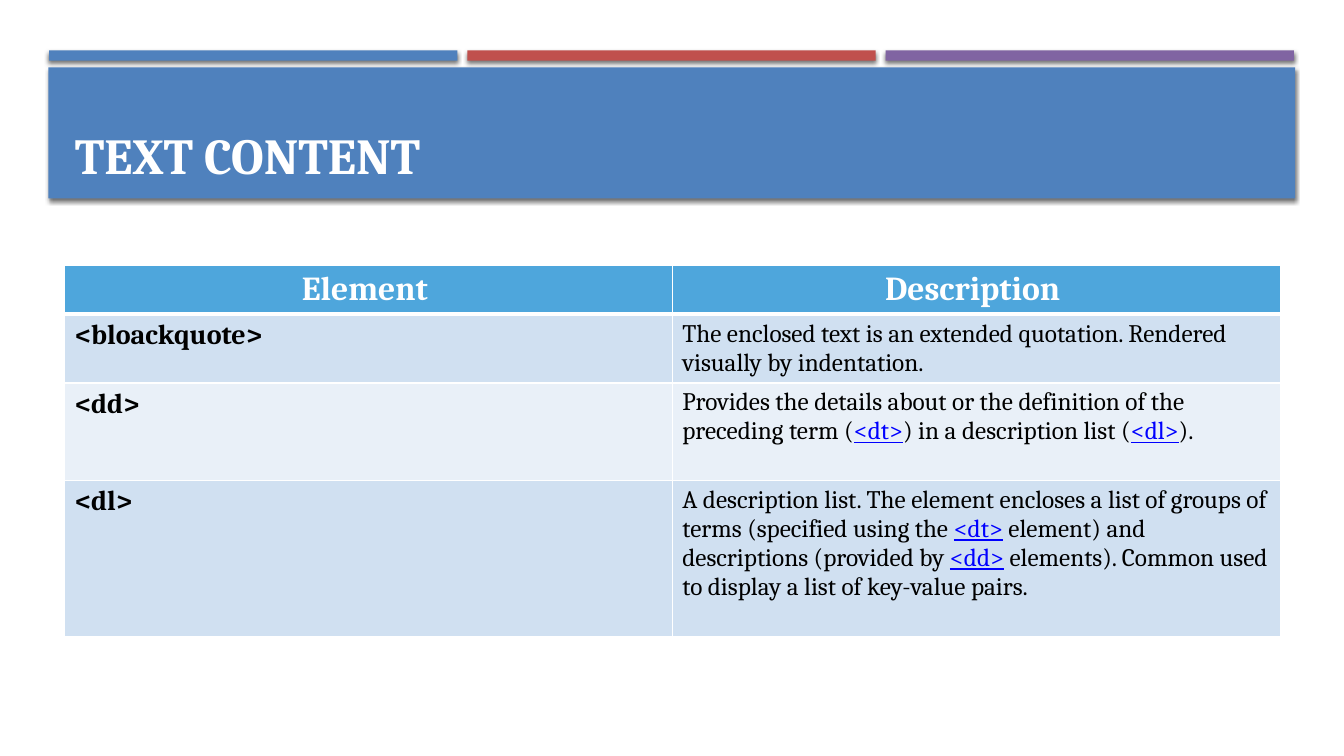
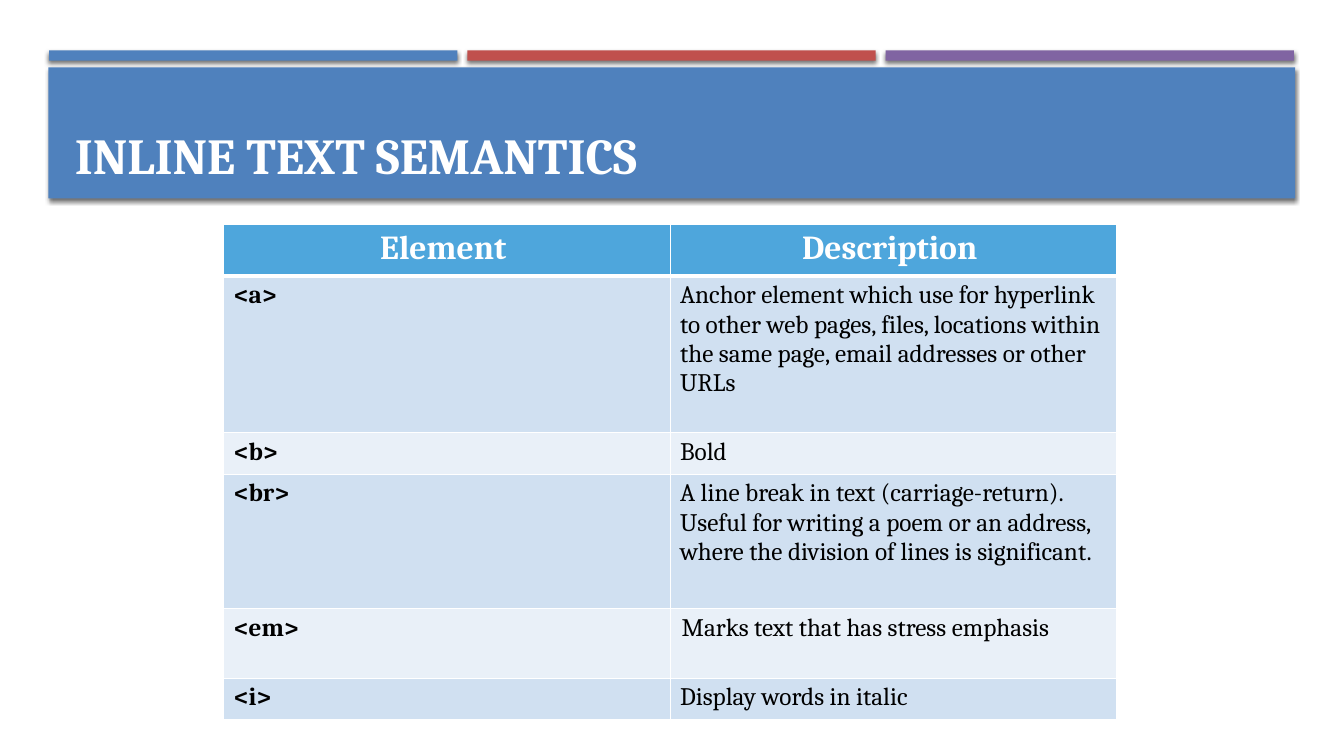
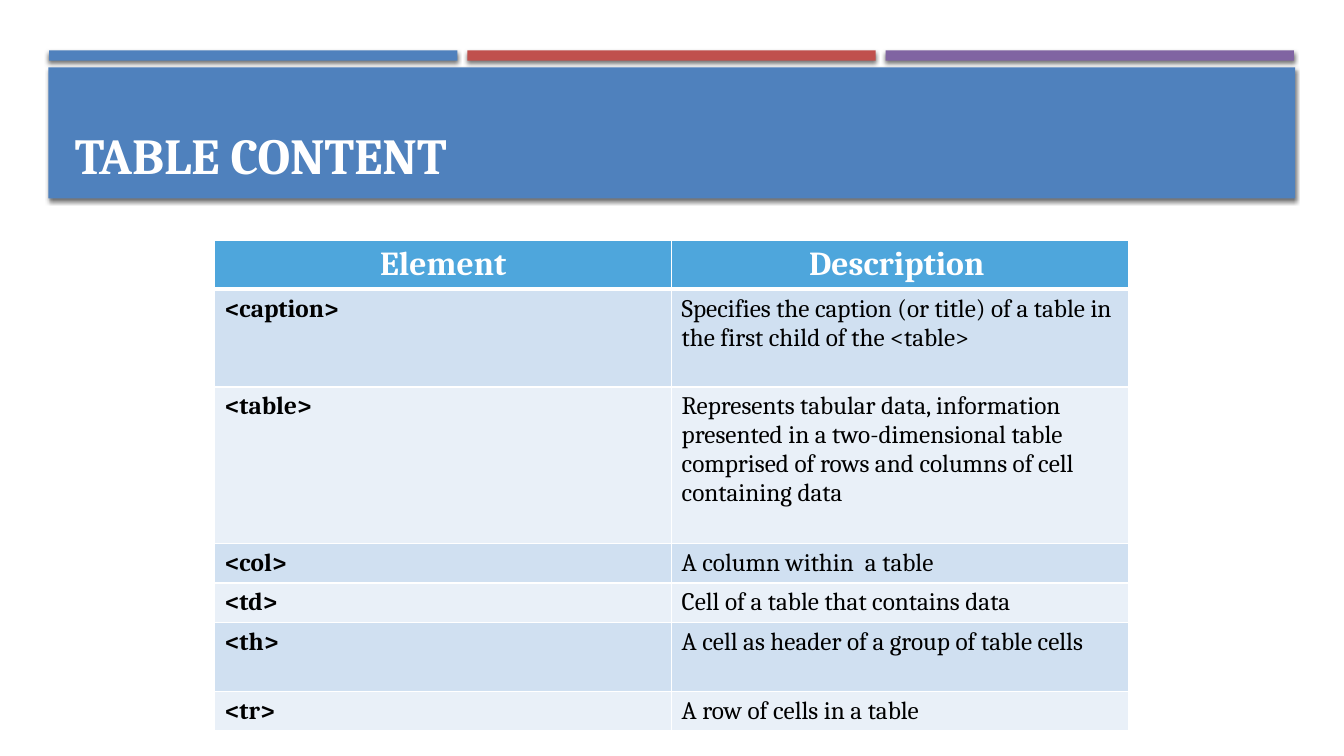
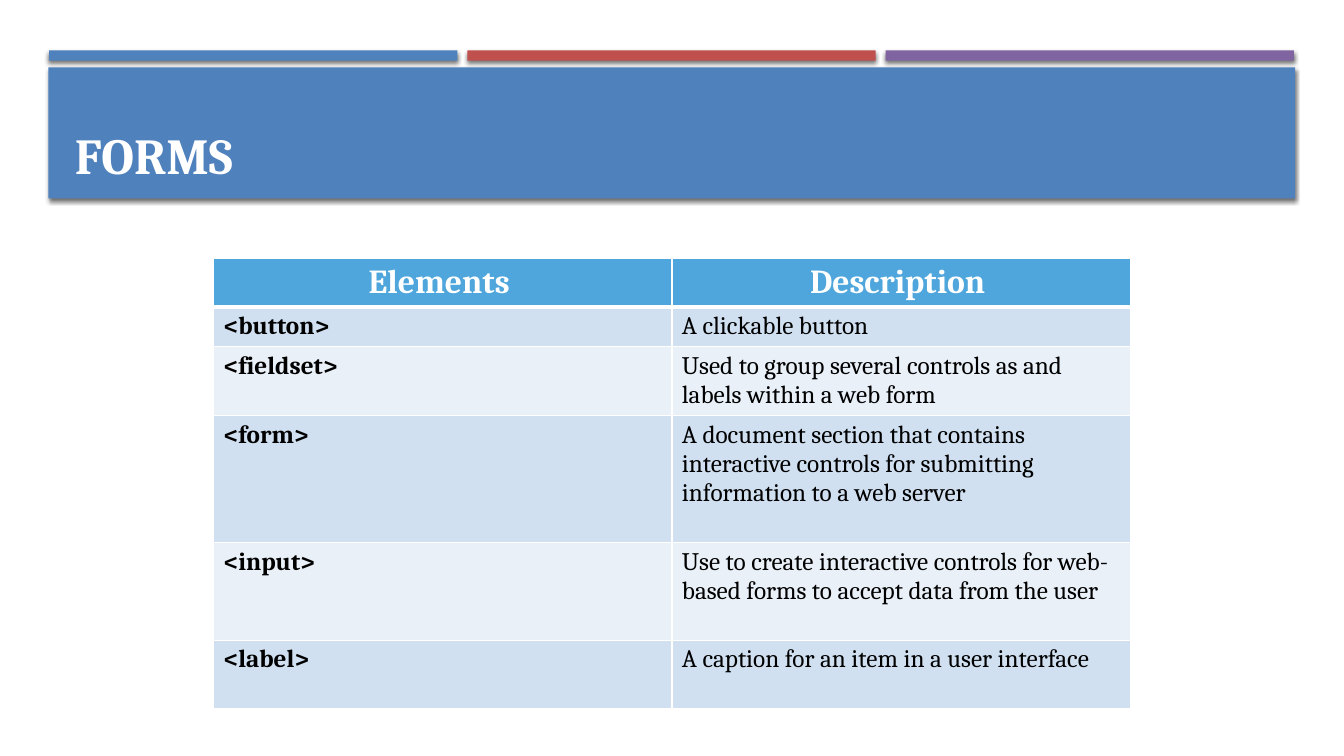
import pptx
import pptx.util
import pptx.dml.color
import pptx.enum.shapes
import pptx.enum.text
import pptx.oxml
import pptx.oxml.ns

Cm = pptx.util.Cm
Pt = pptx.util.Pt
ALIGN = pptx.enum.text.PP_ALIGN

FONT = "Cambria"
WHITE, BLACK, LINK_BLUE = "FFFFFF", "000000", "0000FF"
PANEL_COLOR, HEADER_COLOR = "4F81BD", "4EA6DC"
ROW_COLORS = ("E9F0F8", "D0E0F1")
BAND_COLORS = ("4F81BD", "C0504D", "8064A2")
BAND_LEFT, BAND_TOP, BAND_WIDTH, BAND_HEIGHT, BAND_PITCH = 1.24, 1.27, 10.29, 0.26, 10.54
PANEL_BOX = (1.22, 1.7, 31.42, 3.3)
TITLE_BOX = (1.63, 1.96, 30.63, 2.82)

TITLE_FORMAT = {"size": Pt(36), "bold": True, "name": FONT}
HEADER_FORMAT = {"size": Pt(24), "bold": True, "name": FONT}
TEXT_FORMAT = {"size": Pt(18), "bold": False, "name": FONT}
LINK_FORMAT = {**TEXT_FORMAT, "underline": True}

SLIDES = [
    {
        "title": "TEXT CONTENT",
        "place": (1.63, 6.68, 30.63),
        "element_size": 20,
        "headers": ("Element ", "Description "),
        "header_height": 1.24,
        "rows": [
            (1.73, "<bloackquote>",
             ["The enclosed text is an extended quotation. Rendered visually by indentation."]),
            (2.46, "<dd>",
             ["Provides the details about or the definition of the preceding term (",
              "<dt>", ") in a description list (", "<dl>", ")."]),
            (3.94, "<dl>",
             ["A description list. The element encloses a list of groups of terms (specified using the ",
              "<dt>", " element) and descriptions (provided by ", "<dd>",
              " elements). Common used to display a list of key-value pairs."]),
        ],
    },
    {
        "title": "INLINE TEXT SEMANTICS",
        "place": (5.64, 5.66, 22.5),
        "element_size": 18,
        "headers": ("Element ", "Description "),
        "header_height": 1.3,
        "tight_cell": (4, 1),
        "rows": [
            (3.94, "<a>",
             ["Anchor element which use for hyperlink to other web pages, files, locations "
              "within the same page, email addresses or other URLs"]),
            (1.05, "<b>", ["Bold"]),
            (3.38, "<br>",
             ["A line break in text (carriage-return). Useful for writing a poem or an address, "
              "where the division of lines is significant."]),
            (1.76, "<em>", [" Marks text that has stress emphasis"]),
            (1.04, "<i>", ["Display words in italic"]),
        ],
    },
    {
        "title": "TABLE CONTENT",
        "place": (5.41, 6.05, 23.04),
        "element_size": 18,
        "headers": ("Element", "Description "),
        "header_height": 1.24,
        "rows": [
            (2.46, "<caption>",
             ["Specifies the caption (or title) of a table in the first child of the <table>"]),
            (3.94, "<table>",
             ["Represents tabular data, information presented in a two-dimensional table "
              "comprised of rows and columns of cell containing data"]),
            (1, "<col>", ["A column within  a table"]),
            (1, "<td>", ["Cell of a table that contains data"]),
            (1.73, "<th>", ["A cell as header of a group of table cells"]),
            (1, "<tr>", ["A row of cells in a table"]),
        ],
    },
    {
        "title": "FORMS",
        "place": (5.38, 6.5, 23.11),
        "element_size": 18,
        "headers": ("Elements ", "Description "),
        "header_height": 1.24,
        "rows": [
            (1, "<button>", ["A clickable button"]),
            (1.73, "<fieldset>",
             ["Used to group several controls as and labels within a web form"]),
            (3.2, "<form>",
             ["A document section that contains interactive controls for submitting "
              "information to a web server"]),
            (2.46, "<input>",
             ["Use to create interactive controls for web-based forms to accept data from the user"]),
            (1.73, "<label>", ["A caption for an item in a user interface"]),
        ],
    },
]


def color(hex_string):
    return pptx.dml.color.RGBColor.from_string(hex_string)


def set_attributes(target, values):
    for name, value in values.items():
        setattr(target, name, value)


def add_run(paragraph, text, font_format, font_color):
    run = paragraph.add_run()
    run.text = text
    set_attributes(run.font, font_format)
    run.font.color.rgb = color(font_color)


def move_to(shape, box):
    lengths = [Cm(length) for length in box]
    set_attributes(shape, dict(zip(("left", "top", "width", "height"), lengths)))


def add_shadow(shape):
    shape.shadow.inherit = False
    effects = shape.element.spPr.find(pptx.oxml.ns.qn("a:effectLst"))
    effects.append(pptx.oxml.parse_xml(
        f'<a:outerShdw {pptx.oxml.ns.nsdecls("a")} blurRad="{Pt(3)}" dist="{Pt(2)}" '
        f'dir="5400000" rotWithShape="0"><a:srgbClr val="{BLACK}">'
        '<a:alpha val="55000"/></a:srgbClr></a:outerShdw>'))


def decorate_layout(layout, slide):
    bands = [((BAND_LEFT + index * BAND_PITCH, BAND_TOP, BAND_WIDTH, BAND_HEIGHT), fill)
             for index, fill in enumerate(BAND_COLORS)]
    for index, (box, fill) in enumerate(bands + [(PANEL_BOX, PANEL_COLOR)]):
        shape = slide.shapes.add_shape(
            pptx.enum.shapes.MSO_SHAPE.RECTANGLE, *[Cm(length) for length in box])
        shape.fill.solid()
        shape.fill.fore_color.rgb = color(fill)
        shape.line.fill.background()
        add_shadow(shape)
        shape.element.nvSpPr.cNvPr.id = 20 + index
        layout.shapes.element.insert(2 + index, shape.element)


def fill_title(title, text):
    frame = title.text_frame
    set_attributes(frame, {
        "vertical_anchor": pptx.enum.text.MSO_ANCHOR.BOTTOM,
        "auto_size": pptx.enum.text.MSO_AUTO_SIZE.NONE,
        "word_wrap": True,
    })
    paragraph = frame.paragraphs[0]
    paragraph.alignment = ALIGN.LEFT
    add_run(paragraph, text, TITLE_FORMAT, WHITE)


def fill_cell(cell, fill, alignment, runs, margin=0.25):
    set_attributes(cell, {"margin_left": Cm(margin), "margin_right": Cm(margin)})
    cell.fill.solid()
    cell.fill.fore_color.rgb = color(fill)
    paragraph = cell.text_frame.paragraphs[0]
    paragraph.alignment = alignment
    for run in runs:
        add_run(paragraph, *run)


def add_borders(graphic_frame, column_count):
    for position, properties in enumerate(graphic_frame.element.iter(pptx.oxml.ns.qn("a:tcPr"))):
        row = position // column_count
        widths = {"L": 0.96, "R": 0.96, "T": 3 if row == 1 else 0.96, "B": 3 if row == 0 else 0.96}
        for index, (side, width) in enumerate(widths.items()):
            properties.insert(index, pptx.oxml.parse_xml(
                f'<a:ln{side} {pptx.oxml.ns.nsdecls("a")} w="{Pt(width)}"><a:solidFill>'
                f'<a:srgbClr val="{WHITE}"/></a:solidFill></a:ln{side}>'))


def add_element_table(slide, content):
    left, top, width = content["place"]
    heights = [content["header_height"]] + [row[0] for row in content["rows"]]
    column_count = len(content["headers"])
    graphic_frame = slide.shapes.add_table(
        len(heights), column_count, Cm(left), Cm(top), Cm(width), Cm(sum(heights)))
    table = graphic_frame.table
    table.horz_banding = False
    for row, height in zip(table.rows, heights):
        row.height = Cm(height)
    for column, header in enumerate(content["headers"]):
        fill_cell(table.cell(0, column), HEADER_COLOR, ALIGN.CENTER,
                  [(header, HEADER_FORMAT, WHITE)])
    element_format = {"size": Pt(content["element_size"]), "bold": True, "name": FONT}
    for row, (_, element, parts) in enumerate(content["rows"], 1):
        description = [(part, LINK_FORMAT, LINK_BLUE) if index % 2 else (part, TEXT_FORMAT, BLACK)
                       for index, part in enumerate(parts)]
        for column, runs in enumerate(([(element, element_format, BLACK)], description)):
            margin = 0.15 if content.get("tight_cell") == (row, column) else 0.25
            fill_cell(table.cell(row, column), ROW_COLORS[row % 2], ALIGN.LEFT, runs, margin)
    add_borders(graphic_frame, column_count)


def main():
    presentation = pptx.Presentation()
    set_attributes(presentation, {"slide_width": Cm(33.87), "slide_height": Cm(19.05)})
    layout = presentation.slide_layouts[5]
    move_to(layout.placeholders[0], TITLE_BOX)
    for number, content in enumerate(SLIDES):
        slide = presentation.slides.add_slide(layout)
        if number == 0:
            decorate_layout(layout, slide)
        move_to(slide.shapes.title, TITLE_BOX)
        fill_title(slide.shapes.title, content["title"])
        add_element_table(slide, content)
    presentation.save("out.pptx")


if __name__ == "__main__":
    main()
